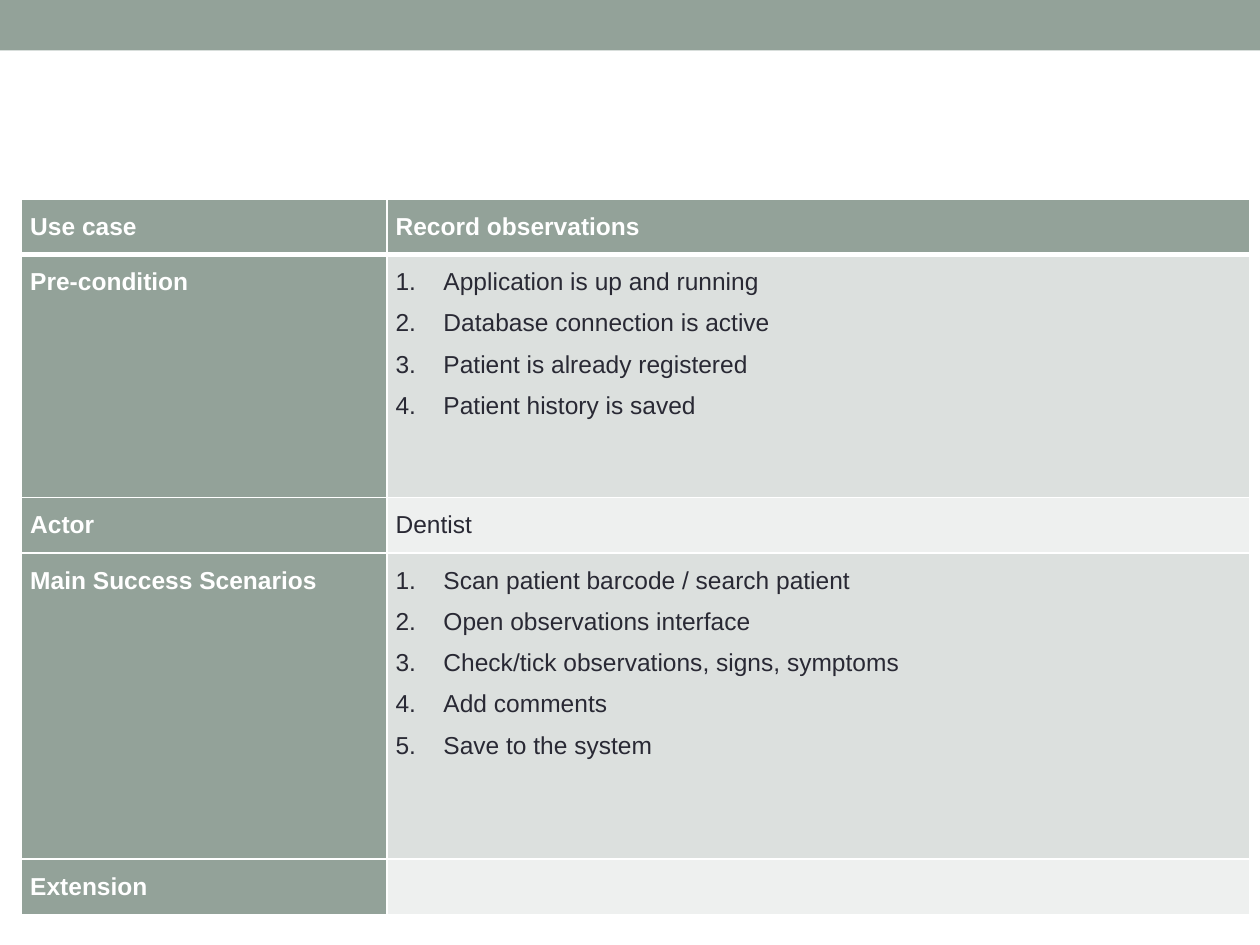
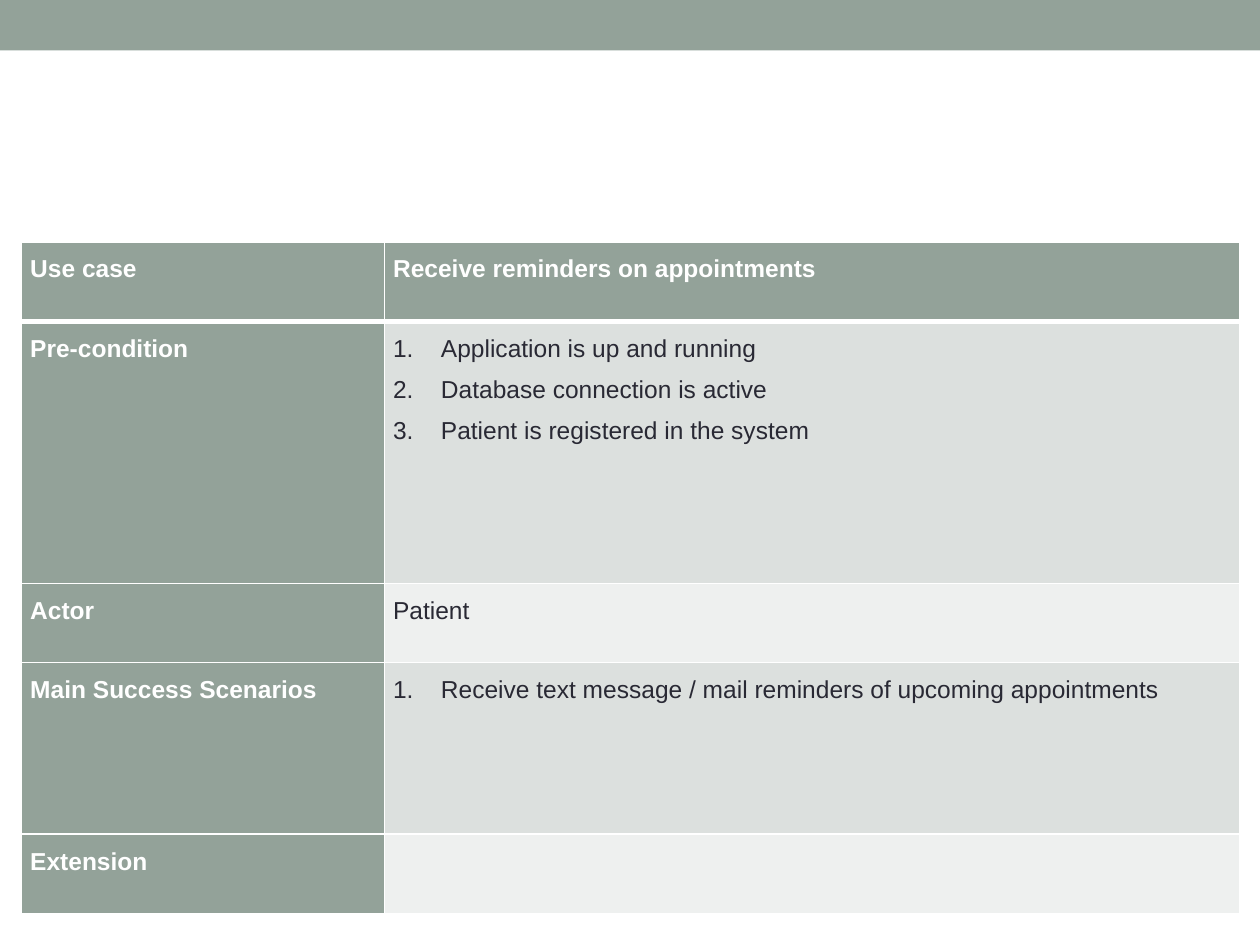
from dataclasses import dataclass

from lxml import etree
from pptx import Presentation, util as u
from pptx.dml.color import RGBColor
from pptx.enum import shapes
from pptx.oxml import ns

LABELS = ["Use case", "Pre-condition", "Actor", "Main Success Scenarios", "Extension"]

USE_CASES = [
    {
        "top": 1.58,
        "cols": [2.9, 6.85],
        "rows": [0.44, 1.93, 0.44, 2.43, 0.44],
        "details": [
            "Record observations",
            ["Application is up and running", "Database connection is active",
             "Patient is already registered", "Patient history is saved"],
            "Dentist",
            ["Scan patient barcode / search patient", "Open observations interface",
             "Check/tick observations, signs, symptoms", "Add comments",
             "Save to the system"],
            "",
        ],
    },
    {
        "top": 1.92,
        "cols": [2.88, 6.79],
        "rows": [0.63, 2.08, 0.63, 1.36, 0.63],
        "details": [
            "Receive reminders on appointments",
            ["Application is up and running", "Database connection is active",
             "Patient is registered in the system"],
            "Patient",
            ["Receive text message / mail reminders of upcoming appointments"],
            "",
        ],
    },
]


@dataclass(frozen=True)
class Theme:
    accent: str = "93A299"
    odd_row: str = "DCE0DE"
    even_row: str = "EEF0EF"
    light: str = "FFFFFF"
    dark: str = "292934"
    font: str = "Arial"
    size: int = 14
    rule: int = 1
    header_rule: int = 3
    line_spacing: float = 1.5
    left: float = 0.17
    margin: float = 0.07
    indent: float = 0.38
    band_height: float = 0.4


THEME = Theme()


def paint(fill, color):
    fill.solid()
    fill.fore_color.rgb = RGBColor.from_string(color)


def write(tf, text, *, color, bold=False, numbered=False):
    lines = text if numbered else [text]
    for i, line in enumerate(lines):
        p = tf.paragraphs[0] if i == 0 else tf.add_paragraph()
        p.line_spacing = THEME.line_spacing
        if numbered:
            pPr = p._p.get_or_add_pPr()
            pPr.set("marL", str(u.Inches(THEME.indent)))
            pPr.set("indent", str(-u.Inches(THEME.indent)))
            etree.SubElement(pPr, ns.qn("a:buFont"), typeface="+mj-lt")
            etree.SubElement(pPr, ns.qn("a:buAutoNum"), type="arabicPeriod")
        r = p.add_run()
        r.text = line
        r.font.name = THEME.font
        r.font.size = u.Pt(THEME.size)
        r.font.bold = bold
        r.font.color.rgb = RGBColor.from_string(color)


def add_borders(cell, **widths):
    tcPr = cell._tc.get_or_add_tcPr()
    for side in "LRTB":
        width = u.Pt(widths.get(side, THEME.rule))
        ln = etree.SubElement(tcPr, ns.qn(f"a:ln{side}"), w=str(width))
        fill = etree.SubElement(ln, ns.qn("a:solidFill"))
        etree.SubElement(fill, ns.qn("a:srgbClr"), val=THEME.light)


def style_cell(cell, row, col):
    cell.margin_left = cell.margin_right = u.Inches(THEME.margin)
    cell.margin_top = cell.margin_bottom = 0
    header_edge = {0: {"B": THEME.header_rule}, 1: {"T": THEME.header_rule}}
    add_borders(cell, **header_edge.get(row, {}))
    body = THEME.odd_row if row % 2 else THEME.even_row
    paint(cell.fill, THEME.accent if row == 0 or col == 0 else body)


def add_band(s, width):
    sp = s.shapes.add_shape(shapes.MSO_SHAPE.RECTANGLE, 0, 0, width,
                            u.Inches(THEME.band_height))
    sp.shadow.inherit = False
    paint(sp.fill, THEME.accent)
    sp.line.fill.background()


def add_use_case(s, case):
    cols, rows = case["cols"], case["rows"]
    table = s.shapes.add_table(
        len(rows), len(cols), u.Inches(THEME.left), u.Inches(case["top"]),
        u.Inches(sum(cols)), u.Inches(sum(rows))).table
    for column, width in zip(table.columns, cols):
        column.width = u.Inches(width)
    for row, height in zip(table.rows, rows):
        row.height = u.Inches(height)
    for i, texts in enumerate(zip(LABELS, case["details"])):
        for j, text in enumerate(texts):
            cell = table.cell(i, j)
            style_cell(cell, i, j)
            heading = i == 0 or j == 0
            if text:
                write(cell.text_frame, text, bold=heading,
                      color=THEME.light if heading else THEME.dark,
                      numbered=isinstance(text, list))


def main():
    prs = Presentation()
    prs.slide_width, prs.slide_height = u.Inches(10), u.Inches(7.5)
    for case in USE_CASES:
        s = prs.slides.add_slide(prs.slide_layouts[6])
        add_band(s, prs.slide_width)
        add_use_case(s, case)
    prs.save("out.pptx")


if __name__ == "__main__":
    main()
